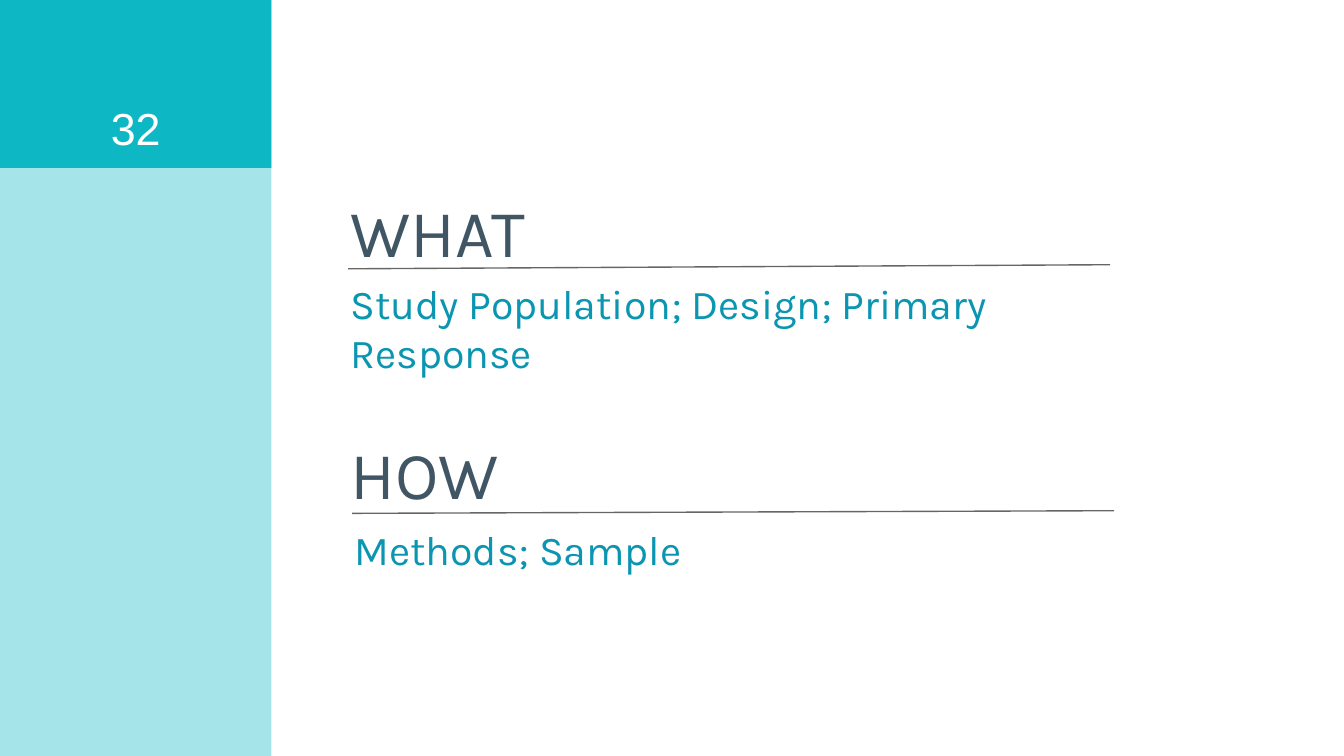
from lxml import etree
from pptx import Presentation
from pptx.dml.color import RGBColor
from pptx.enum import shapes, text
from pptx.oxml.ns import qn
from pptx.util import Inches, Pt

TEAL = RGBColor(0x0D, 0xB7, 0xC4)
SLATE = RGBColor(0x41, 0x56, 0x65)
BLUE = RGBColor(0x0A, 0x95, 0xB0)
GRAY = RGBColor(0x66, 0x66, 0x66)
WHITE = RGBColor(0xFF, 0xFF, 0xFF)

WIDTH = 10
HEIGHT = WIDTH * 9 / 16
SIDEBAR, BANNER = 2.02, 1.25
LEFT, TEXT_WIDTH = 2.51, 4.92
RULE_INSET, RULE_LENGTH = 0.08, 5.67

PAGE_NUMBER = "32"
# heading, its top and height; detail, its left, top, width and height;
# rule start and end heights
SECTIONS = [
    (("WHAT", 1.32, 0.83),
     ("Study Population; Design; Primary Response", LEFT, 1.97, 5.89, 0.88),
     (2.0, 1.97)),
    (("HOW", 3.12, 1.02),
     ("Methods; Sample", LEFT + 0.03, 3.8, TEXT_WIDTH, 0.83),
     (3.82, 3.8)),
]


def add_band(slide, height, opacity=None):
    band = slide.shapes.add_shape(shapes.MSO_SHAPE.RECTANGLE, 0, 0,
                                  Inches(SIDEBAR), Inches(height))
    band.shadow.inherit = False
    band.fill.solid()
    band.fill.fore_color.rgb = TEAL
    band.line.fill.background()
    if opacity:
        color = band._element.spPr.find(qn("a:solidFill"))[0]
        etree.SubElement(color, qn("a:alpha"), val=str(opacity * 1000))


def add_text(slide, words, left, top, width, height, size, color,
             font="Karla", align=text.PP_ALIGN.LEFT, anchor=text.MSO_ANCHOR.TOP):
    frame = slide.shapes.add_textbox(Inches(left), Inches(top),
                                     Inches(width), Inches(height)).text_frame
    frame.word_wrap = True
    frame.vertical_anchor = anchor
    frame.margin_left = frame.margin_right = Inches(0.1)
    frame.margin_top = frame.margin_bottom = Inches(0.1)
    paragraph = frame.paragraphs[0]
    paragraph.alignment = align
    run = paragraph.add_run()
    run.text = words
    run.font.name = font
    run.font.size = Pt(size)
    run.font.color.rgb = color


def add_rule(slide, left, start, end):
    rule = slide.shapes.add_connector(
        shapes.MSO_CONNECTOR.STRAIGHT, Inches(left), Inches(start),
        Inches(left + RULE_LENGTH), Inches(end))
    rule.line.color.rgb = GRAY
    rule.line.width = Pt(0.75)
    etree.SubElement(rule._element.spPr, qn("a:effectLst"))


def main():
    deck = Presentation()
    deck.slide_width, deck.slide_height = Inches(WIDTH), Inches(HEIGHT)
    slide = deck.slides.add_slide(deck.slide_layouts[6])

    # Sidebar with the page number
    add_band(slide, HEIGHT, opacity=37)
    add_band(slide, BANNER)
    add_text(slide, PAGE_NUMBER, 0, 0, SIDEBAR, BANNER, 24, WHITE, "Arial",
             text.PP_ALIGN.CENTER, text.MSO_ANCHOR.BOTTOM)

    # Headings, details and rules
    for (heading, top, height), (detail, left, *box), (start, end) in SECTIONS:
        add_text(slide, heading, LEFT, top, TEXT_WIDTH, height, 36, SLATE)
        add_text(slide, detail, left, *box, 22, BLUE)
        add_rule(slide, left + RULE_INSET, start, end)

    deck.save("out.pptx")


if __name__ == "__main__":
    main()
